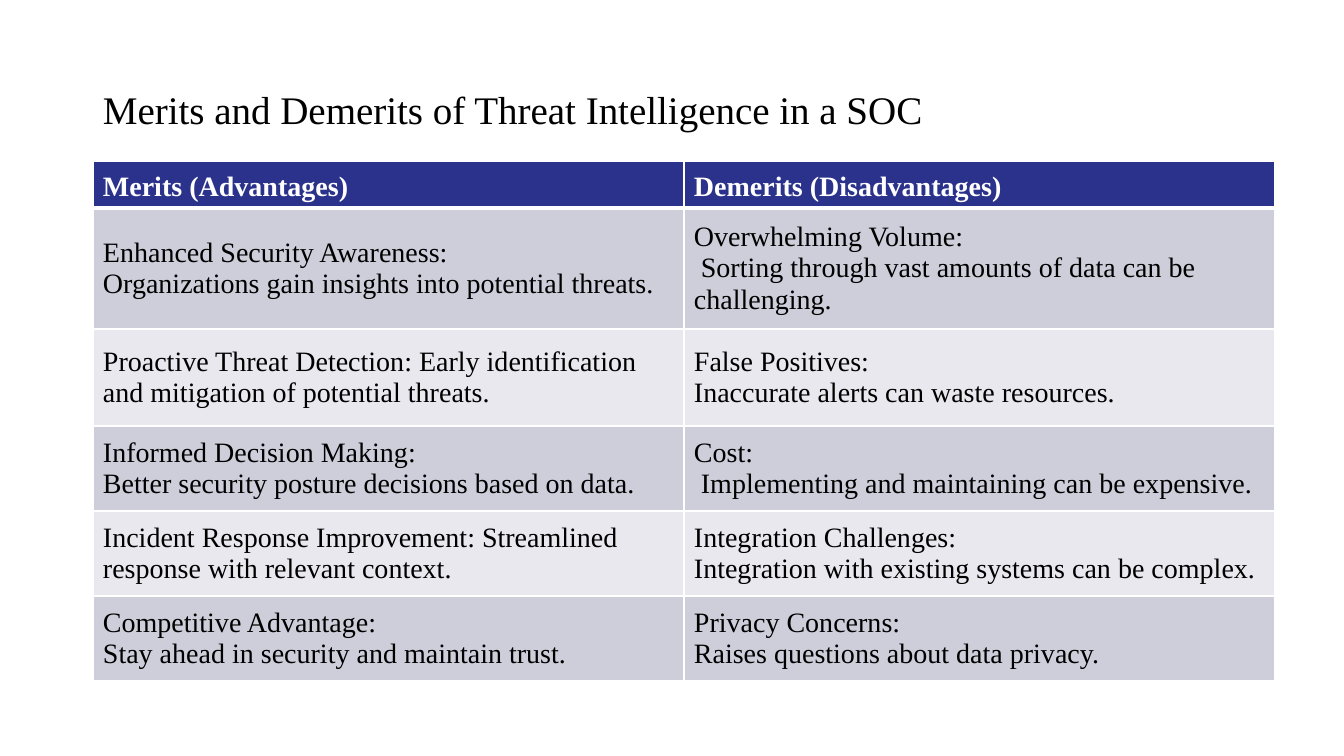
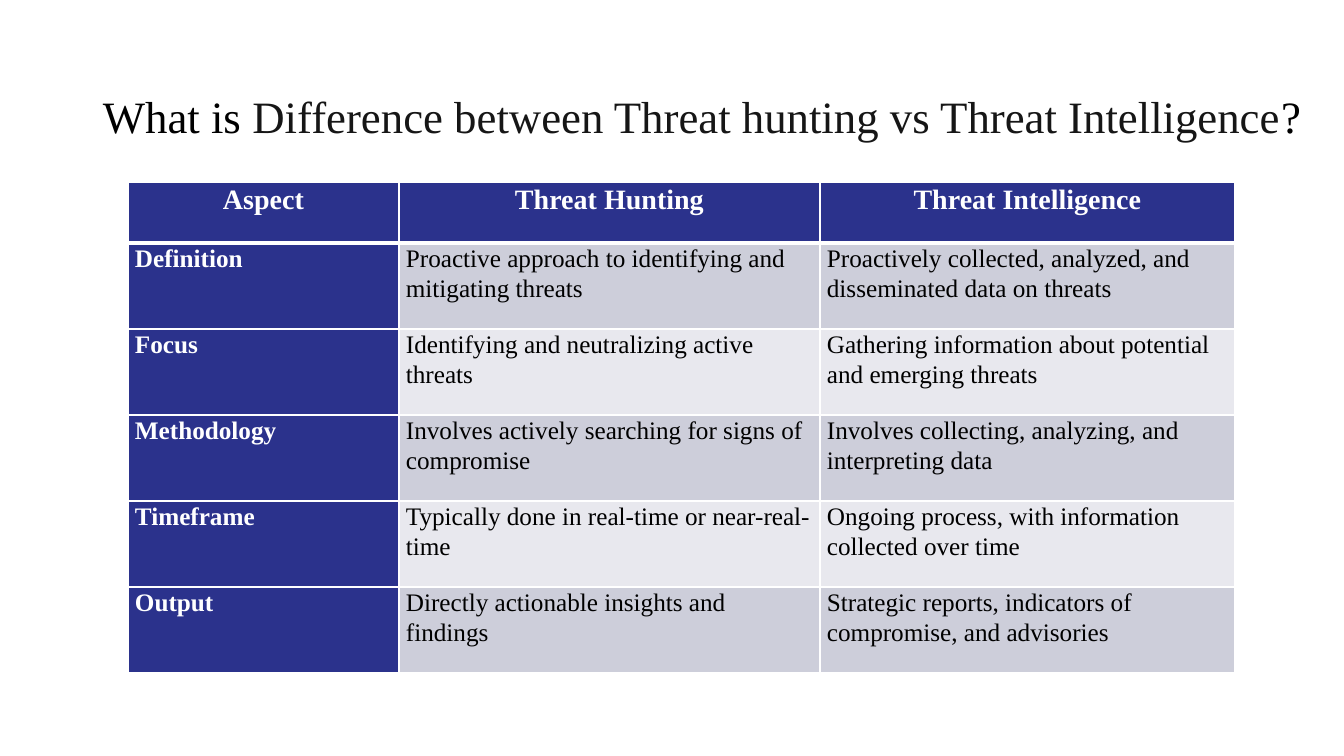
from dataclasses import dataclass

from lxml import etree
from pptx import Presentation
from pptx import util as u
from pptx.dml.color import RGBColor
from pptx.enum import text as t
from pptx.oxml import ns

WIDE, HIGH = 1344, 756
UNIT = 12192000 / WIDE


@dataclass(frozen=True)
class Theme:
    font: str = "Times New Roman"
    ink: str = "000000"
    soft: str = "161616"
    white: str = "FFFFFF"
    navy: str = "2B328C"
    bands: tuple = ("CDCEDA", "E8E8EE")
    head: int = 20
    cell: int = 18
    thin: int = 1
    thick: int = 3


THEME = Theme()
MID = t.MSO_ANCHOR.MIDDLE
TOP = t.MSO_ANCHOR.TOP
BASE = t.MSO_ANCHOR.BOTTOM

MERITS = [
    ["Merits (Advantages)", "Demerits (Disadvantages)"],
    ["Enhanced Security Awareness:\nOrganizations gain insights into potential threats.",
     "Overwhelming Volume:\n>Sorting through vast amounts of data can be challenging."],
    ["Proactive Threat Detection: Early identification and mitigation of potential threats.",
     "False Positives:\nInaccurate alerts can waste resources."],
    ["Informed Decision Making:\nBetter security posture decisions based on data.",
     "Cost:\n>Implementing and maintaining can be expensive."],
    ["Incident Response Improvement: Streamlined response with relevant context.",
     "Integration Challenges:\nIntegration with existing systems can be complex."],
    ["Competitive Advantage:\nStay ahead in security and maintain trust.",
     "Privacy Concerns:\nRaises questions about data privacy."],
]

ASPECTS = [
    ["Aspect", "Threat Hunting", "Threat Intelligence"],
    ["Definition", "Proactive approach to identifying and mitigating threats",
     "Proactively collected, analyzed, and disseminated data on threats"],
    ["Focus", "Identifying and neutralizing active threats",
     "Gathering information about potential and emerging threats"],
    ["Methodology", "Involves actively searching for signs of compromise",
     "Involves collecting, analyzing, and interpreting data"],
    ["Timeframe", "Typically done in real-time or near-real-time",
     "Ongoing process, with information collected over time"],
    ["Output", "Directly actionable insights and findings",
     "Strategic reports, indicators of compromise, and advisories"],
]


def px(n):
    return u.Emu(round(n * UNIT))


def write(frame, lines, size, color=THEME.ink, bold=False, align=t.PP_ALIGN.LEFT,
          lead=1.0, after=0):
    """Each line is a string, or a list of (text, colour) runs; '>' indents."""
    frame.word_wrap = True
    for i, line in enumerate(lines):
        para = frame.paragraphs[0] if i == 0 else frame.add_paragraph()
        para.alignment, para.line_spacing = align, lead
        para.space_after = u.Pt(after)
        runs = [(line, color)] if isinstance(line, str) else line
        if runs[0][0].startswith(">"):
            para._p.get_or_add_pPr().set("indent", str(px(7)))
            runs = [(runs[0][0][1:], runs[0][1])] + runs[1:]
        for words, tone in runs:
            run = para.add_run()
            run.text = words
            font = run.font
            font.name, font.size, font.bold = THEME.font, u.Pt(size), bold
            font.color.rgb = RGBColor.from_string(tone)


def title(slide, line, top, size):
    box = slide.shapes.add_textbox(px(93), px(top), px(1226), px(43))
    box.text_frame.vertical_anchor = MID
    write(box.text_frame, [line], size, lead=0.9)


def edge(cell, side, width):
    line = etree.SubElement(cell._tc.get_or_add_tcPr(), ns.qn("a:ln" + side),
                            w=str(u.Pt(width)))
    fill = etree.SubElement(line, ns.qn("a:solidFill"))
    etree.SubElement(fill, ns.qn("a:srgbClr"), val=THEME.white)


def paint(cell, row, dark):
    for side in "LRTB":
        rule = (row, side) in ((0, "B"), (1, "T"))
        edge(cell, side, THEME.thick if rule else THEME.thin)
    cell.fill.solid()
    tone = THEME.navy if dark else THEME.bands[(row - 1) % 2]
    cell.fill.fore_color.rgb = RGBColor.from_string(tone)


def grid(slide, data, left, top, cols, rows, size, pad=(10, 5), anchors=(TOP, TOP),
         side=False, align=t.PP_ALIGN.LEFT, **form):
    frame = slide.shapes.add_table(len(rows), len(cols), px(left), px(top),
                                   px(sum(cols)), px(sum(rows)))
    table = frame.table
    table.first_row = table.horz_banding = False
    for col, wide in zip(table.columns, cols):
        col.width = px(wide)
    for r, (high, texts) in enumerate(zip(rows, data)):
        table.rows[r].height = px(high)
        for c, words in enumerate(texts):
            cell, head = table.cell(r, c), r == 0
            dark = head or (side and c == 0)
            paint(cell, r, dark)
            cell.margin_left = cell.margin_right = px(pad[0])
            cell.margin_top = cell.margin_bottom = px(pad[1])
            cell.vertical_anchor = anchors[0 if head else 1]
            write(cell.text_frame, words.split("\n"), THEME.head if head else size,
                  color=THEME.white if dark else THEME.ink, bold=dark,
                  align=align if head else t.PP_ALIGN.LEFT, **form)


def main():
    deck = Presentation()
    deck.slide_width, deck.slide_height = px(WIDE), px(HIGH)
    blank = deck.slide_layouts[6]

    slide = deck.slides.add_slide(blank)
    title(slide, "Merits and Demerits of Threat Intelligence in a SOC", 90, 27.9)
    grid(slide, MERITS, 93, 161, [591] * 2, [47, 121, 97] + [85] * 3, THEME.head,
         anchors=(BASE, MID))

    slide = deck.slides.add_slide(blank)
    title(slide, [("What is ", THEME.ink),
                  ("Difference between Threat hunting vs Threat Intelligence", THEME.soft),
                  ("?", THEME.ink)], 98, 32)
    grid(slide, ASPECTS, 128, 182, [271, 421, 415], [61] + [86] * 5, THEME.cell,
         pad=(7, 0), side=True, align=t.PP_ALIGN.CENTER, lead=1.07, after=8)

    deck.save("out.pptx")


if __name__ == "__main__":
    main()
